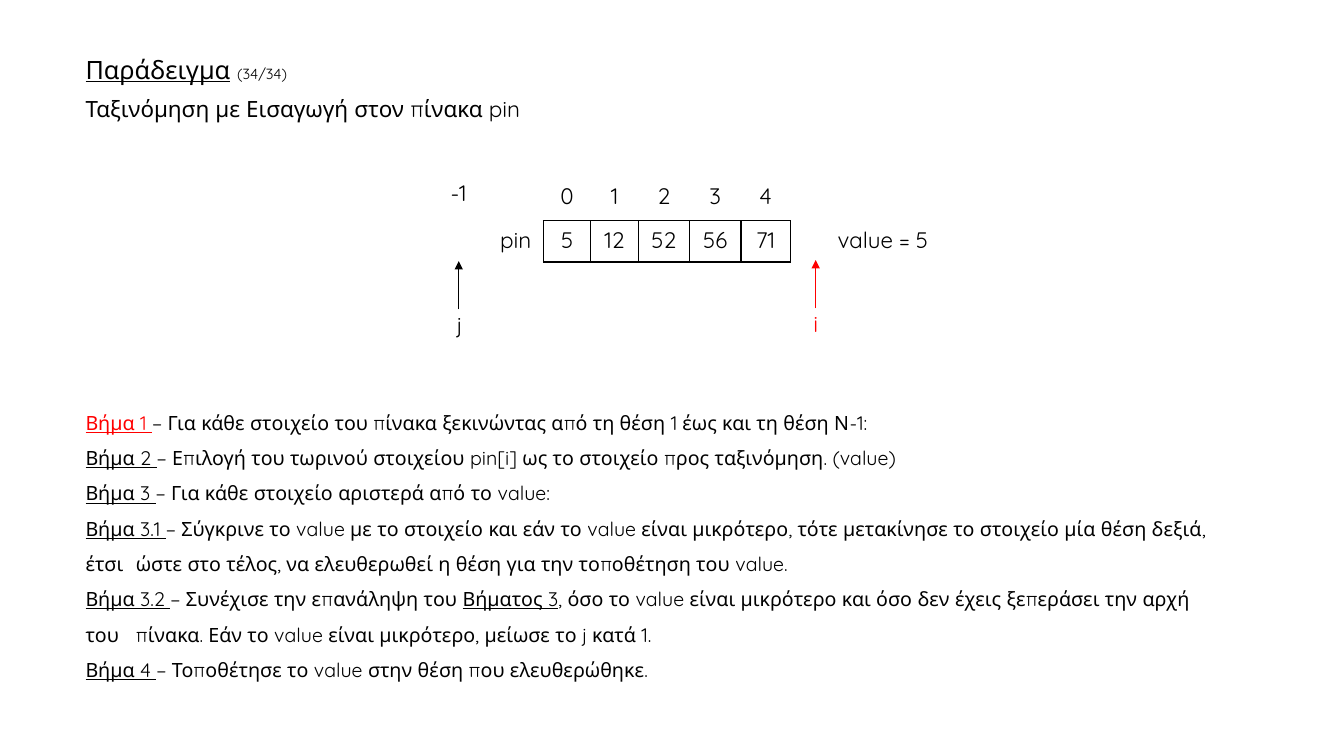
import pptx
import pptx.dml.color
import pptx.enum.shapes
import pptx.enum.text
import pptx.oxml
import pptx.oxml.ns
import pptx.util
from pptx.util import Inches

FONT = "Quicksand"
COLORS = {"black": "000000", "red": "FF0000"}
HEADING = [
    [("Παράδειγμα", 18, "black", True), (" ", 18, "black", False), ("(34/34)", 10.5, "black", False)],
    [("Ταξινόμηση με Εισαγωγή στον πίνακα pin", 16, "black", False)],
]
STEPS = [
    ("Βήμα 1 ", "− Για κάθε στοιχείο του πίνακα ξεκινώντας από τη θέση 1 έως και τη θέση Ν-1:"),
    ("Βήμα 2 ", "− Επιλογή του τωρινού στοιχείου pin[i] ως το στοιχείο προς ταξινόμηση. (value)"),
    ("Βήμα 3 ", "− Για κάθε στοιχείο αριστερά από το value:"),
    ("Βήμα 3.1 ", "− Σύγκρινε το value με το στοιχείο και εάν το value είναι μικρότερο, τότε μετακίνησε "
     "το στοιχείο μία θέση δεξιά, έτσι \tώστε στο τέλος, να ελευθερωθεί η θέση για την τοποθέτηση του value."),
    ("Βήμα 3.2 ", "− Συνέχισε την επανάληψη του ", "Βήματος 3",
     ", όσο το value είναι μικρότερο και όσο δεν έχεις ξεπεράσει την αρχή του \tπίνακα. "
     "Εάν το value είναι μικρότερο, μείωσε το j κατά 1."),
    ("Βήμα 4 ", "− Τοποθέτησε το value στην θέση που ελευθερώθηκε."),
]
CURRENT_STEP = 0
ARRAY = [["", "0", "1", "2", "3", "4"], ["pin", "5", "12", "52", "56", "71"]]
COL_WIDTHS = [0.55, 0.47, 0.47, 0.51, 0.51, 0.49]
ROW_HEIGHTS = [0.43, 0.41]
LABELS = [
    ("value = 5", (8.21, 2.22, 1.31, 0.47), "black"),
    ("-1", (4.37, 1.76, 0.47, 0.36), "black"),
]
POINTERS = [("i", 8.09, 3.06, "red"), ("j", 4.55, 3.07, "black")]
POINTER_LENGTH = 0.48
LABEL_WIDTH, LABEL_HEIGHT = 0.24, 0.36
CENTER = pptx.enum.text.PP_ALIGN.CENTER


def rgb(name):
    return pptx.dml.color.RGBColor.from_string(COLORS[name])


def style_run(r, size, color="black", underline=False):
    r.font.name = FONT
    r.font.size = pptx.util.Pt(size)
    r.font.color.rgb = rgb(color)
    r.font.underline = underline


def add_text(s, box, paragraphs, spacing=0.9, before=10, align=None):
    tf = s.shapes.add_textbox(*map(Inches, box)).text_frame
    tf.word_wrap = True
    for n, runs in enumerate(paragraphs):
        p = tf.paragraphs[0] if n == 0 else tf.add_paragraph()
        p.line_spacing = spacing
        p.space_before = pptx.util.Pt(before)
        p.alignment = align
        for text, *style in runs:
            r = p.add_run()
            r.text = text
            style_run(r, *style)


def add_pointer(s, label, x, y, color):
    line = s.shapes.add_connector(
        pptx.enum.shapes.MSO_CONNECTOR.STRAIGHT,
        Inches(x), Inches(y), Inches(x), Inches(y - POINTER_LENGTH))
    line.line.color.rgb = rgb(color)
    line.line.width = pptx.util.Pt(0.5)
    ln = line.line._get_or_add_ln()
    ln.append(pptx.oxml.parse_xml(f'<a:tailEnd {pptx.oxml.ns.nsdecls("a")} type="triangle"/>'))
    line._element.spPr.append(pptx.oxml.parse_xml(f'<a:effectLst {pptx.oxml.ns.nsdecls("a")}/>'))
    box = (x - LABEL_WIDTH / 2, y, LABEL_WIDTH, LABEL_HEIGHT)
    add_text(s, box, [[(label, 16, color)]], align=CENTER)


def set_borders(cell, visible):
    tc_pr = cell._tc.get_or_add_tcPr()
    for n, side in enumerate(("lnL", "lnR", "lnT", "lnB")):
        fill = "<a:noFill/>"
        if side in visible:
            fill = f'<a:solidFill><a:srgbClr val="{COLORS["black"]}"/></a:solidFill>'
        tc_pr.insert(n, pptx.oxml.parse_xml(
            f'<a:{side} {pptx.oxml.ns.nsdecls("a")} w="12700">{fill}</a:{side}>'))


def add_array(s):
    table = s.shapes.add_table(
        len(ARRAY), len(COL_WIDTHS), Inches(4.84), Inches(1.76),
        Inches(sum(COL_WIDTHS)), Inches(sum(ROW_HEIGHTS))).table
    table.first_row = table.horz_banding = False
    for column, width in zip(table.columns, COL_WIDTHS):
        column.width = Inches(width)
    for row, height in zip(table.rows, ROW_HEIGHTS):
        row.height = Inches(height)
    for i, values in enumerate(ARRAY):
        for j, value in enumerate(values):
            cell = table.cell(i, j)
            cell.text = value
            p = cell.text_frame.paragraphs[0]
            p.alignment = CENTER
            for r in p.runs:
                style_run(r, 16)
            cell.fill.background()
            if j == 0:
                set_borders(cell, ("lnR",) if i else ())
            else:
                set_borders(cell, ("lnL", "lnR", "lnT", "lnB") if i else ("lnB",))


def main():
    prs = pptx.Presentation()
    prs.slide_width, prs.slide_height = Inches(13.33), Inches(7.5)
    s = prs.slides.add_slide(prs.slide_layouts[6])
    steps = [
        [(text, 14, "red" if (n, k) == (CURRENT_STEP, 0) else "black", k % 2 == 0)
         for k, text in enumerate(parts)]
        for n, parts in enumerate(STEPS)
    ]
    add_text(s, (0.75, 3.91, 11.53, 2.88), steps, spacing=1.5, before=0)
    add_text(s, (0.75, 0.52, 10.79, 0.77), HEADING)
    add_array(s)
    for text, box, color in LABELS:
        add_text(s, box, [[(text, 16, color)]])
    for pointer in POINTERS:
        add_pointer(s, *pointer)
    prs.save("out.pptx")


if __name__ == "__main__":
    main()
